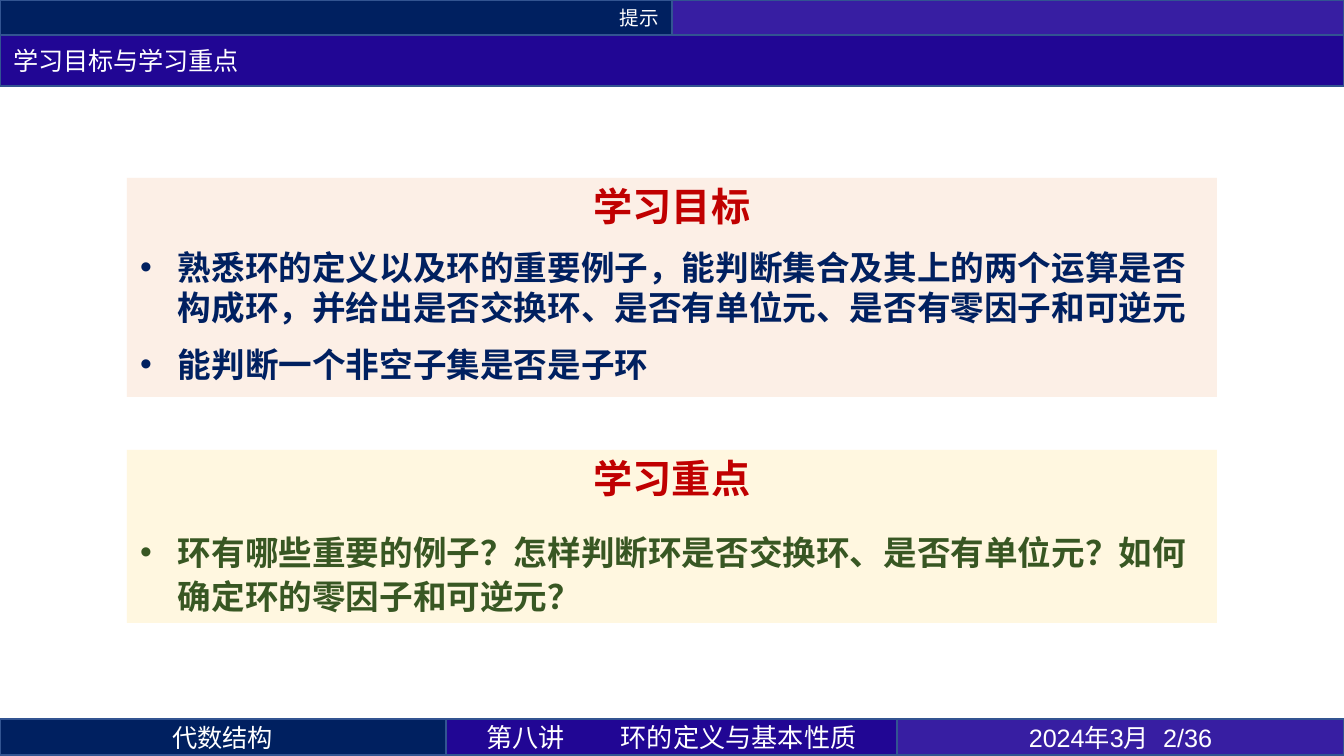
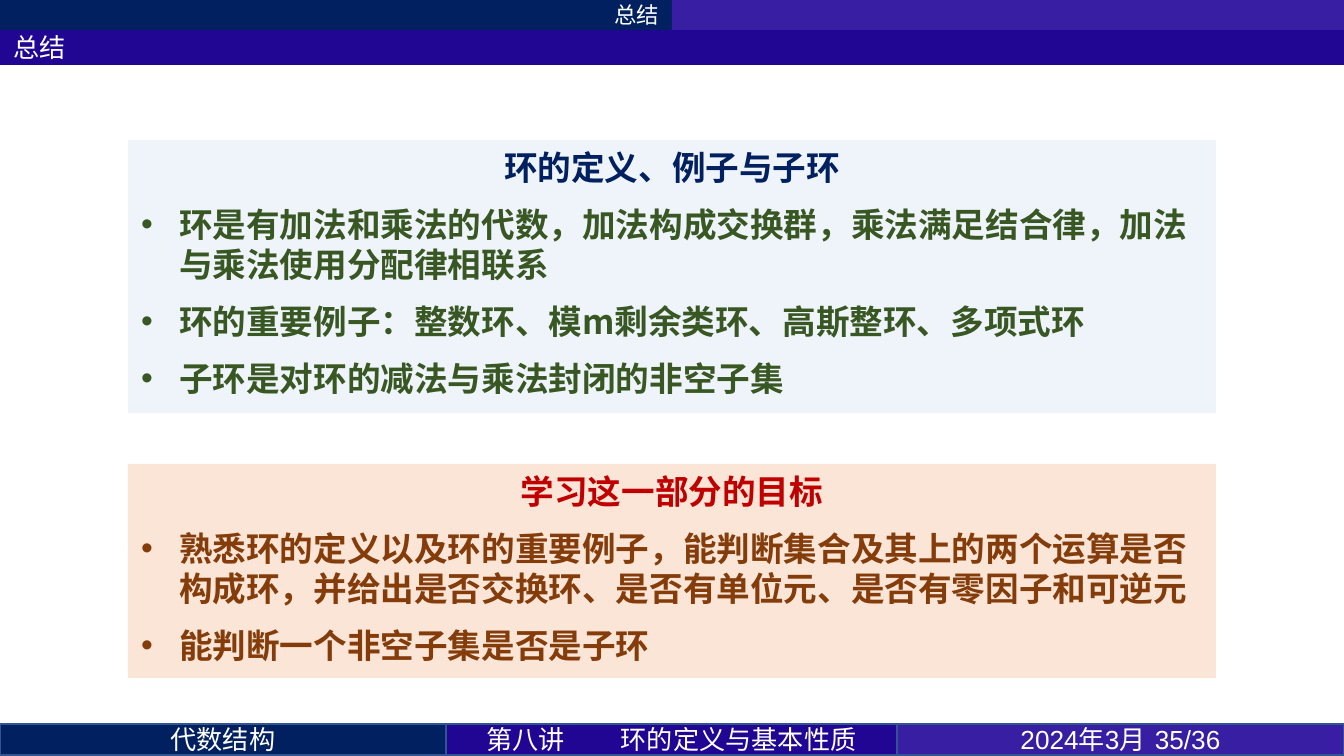
from lxml.etree import SubElement
from pptx import Presentation
from pptx.dml.color import RGBColor
from pptx.enum.shapes import MSO_SHAPE
from pptx.enum.text import MSO_ANCHOR, MSO_AUTO_SIZE, PP_ALIGN
from pptx.oxml.ns import qn
from pptx.util import Emu, Pt

WIDTH, HEIGHT = 1344, 756
NAVY, INDIGO, VIOLET = "002060", "210694", "371EA2"
EDGE, WHITE, RED, GREEN, BROWN = "325491", "FFFFFF", "C00000", "385723", "843C0B"
CJK = "Noto Sans CJK SC"
PAD, HANG = 13, 38
GOALS = [
    "熟悉环的定义以及环的重要例子，能判断集合及其上的两个运算是否构成环，并给出是否交换环、是否有单位元、是否有零因子和可逆元",
    "能判断一个非空子集是否是子环",
]


def px(count):
    return Emu(round(count * 914400 / 134.4))


def color(value):
    return RGBColor.from_string(value)


def put(frame, text, size=14, font=CJK, ink=WHITE, bold=False, align=PP_ALIGN.LEFT,
        before=0, after=0, lead=None, bullet=False, tab=None):
    para = frame.paragraphs[0]
    if para.runs:
        para = frame.add_paragraph()
    props = para._p.get_or_add_pPr()
    props.set("marL", str(px(HANG) if bullet else 0))
    props.set("indent", str(-px(HANG) if bullet else 0))
    if bullet:
        SubElement(props, qn("a:buFont"), typeface="Arial")
        SubElement(props, qn("a:buChar"), char="•")
    else:
        SubElement(props, qn("a:buNone"))
    if tab:
        stops = SubElement(props, qn("a:tabLst"))
        SubElement(stops, qn("a:tab"), pos=str(px(tab)), algn="l")
    para.alignment = align
    para.space_before, para.space_after = Pt(before), Pt(after)
    para.line_spacing = Pt(lead) if lead else 1.0
    run = para.add_run()
    run.text = text
    run.font.size, run.font.name, run.font.bold = Pt(size), font, bold
    run.font.color.rgb = color(ink)
    SubElement(run._r.get_or_add_rPr(), qn("a:ea"), typeface=CJK)


def paint(shape, box, fill, edge=None, alpha=None, anchor=MSO_ANCHOR.MIDDLE, inset=0):
    shape.left, shape.top, shape.width, shape.height = map(px, box)
    shape.fill.solid()
    shape.fill.fore_color.rgb = color(fill)
    if alpha:
        tone = shape._element.spPr.find(".//" + qn("a:srgbClr"))
        SubElement(tone, qn("a:alpha"), val=str(alpha * 1000))
    if edge:
        shape.line.color.rgb = color(edge)
        shape.line.width = Pt(1)
    else:
        shape.line.fill.background()
    frame = shape.text_frame
    frame.word_wrap = True
    frame.auto_size = MSO_AUTO_SIZE.NONE
    frame.vertical_anchor = anchor
    frame.margin_left = frame.margin_right = px(PAD)
    frame.margin_top = frame.margin_bottom = px(inset)
    return frame


def band(slide, box, fill, edge=None):
    shape = slide.shapes.add_shape(MSO_SHAPE.RECTANGLE, *map(px, box))
    shape.shadow.inherit = False
    return paint(shape, box, fill, edge)


def header(slide, topic, title, heights, sizes, edge=None):
    half, (top, deep) = WIDTH // 2, heights
    frame = band(slide, (0, 0, half, top), NAVY, edge)
    put(frame, topic, size=sizes[0], align=PP_ALIGN.RIGHT)
    band(slide, (half, 0, half, top), VIOLET, edge)
    frame = paint(slide.shapes.title, (0, top, WIDTH, deep), INDIGO, edge)
    put(frame, title, size=sizes[1], font="Calibri")


def footer(slide, page, top, size, tab):
    cells = [
        (446, NAVY, "代数结构", size, CJK, None),
        (451, INDIGO, "第八讲\t环的定义与基本性质", 14, CJK, 91),
        (447, VIOLET, f"2024年3月\t{page}/36", size, "Arial", tab),
    ]
    left = 0
    for width, fill, text, points, font, stop in cells:
        frame = band(slide, (left, top, width, HEIGHT - 1 - top), fill, EDGE)
        put(frame, text, size=points, font=font, align=PP_ALIGN.CENTER, tab=stop)
        left += width


def panel(holder, box, fill, head, items, ink, title=RED, alpha=None, size=18,
          leads=(21.5, 21.5), before=4.5, fonts=("Calibri", CJK)):
    frame = paint(holder, box, fill, alpha=alpha, anchor=MSO_ANCHOR.TOP, inset=7)
    put(frame, head, size=size, font=fonts[0], ink=title, bold=True,
        align=PP_ALIGN.CENTER, after=4.5, lead=leads[0])
    for item in items:
        put(frame, item, size=18, font=fonts[1], ink=ink, bold=True,
            before=before, after=4.5, lead=leads[1], bullet=True)


def aims(slide):
    header(slide, "提示", "学习目标与学习重点", (35, 51), (10.5, 13.5), EDGE)
    upper, lower = list(slide.placeholders)[1:]
    fonts = ("Noto Sans CJK SC", "Arial")
    panel(upper, (127, 178, 1090, 219), "FBE5D6", "学习目标", GOALS, NAVY,
          alpha=60, size=21, leads=(24, 21.5), fonts=fonts)
    panel(lower, (127, 450, 1090, 173), "FFF2CC", "学习重点",
          ["环有哪些重要的例子？怎样判断环是否交换环、是否有单位元？如何确定环的零因子和可逆元？"],
          GREEN, alpha=60, size=21, leads=(24, 24), before=9, fonts=fonts)
    footer(slide, 2, 719, 13.5, 202)


def recap(slide):
    header(slide, "总结", "总结", (30, 35), (12, 14))
    upper, lower = list(slide.placeholders)[1:]
    panel(upper, (128, 140, 1088, 273), "DEEBF7", "环的定义、例子与子环", [
        "环是有加法和乘法的代数，加法构成交换群，乘法满足结合律，加法与乘法使用分配律相联系",
        "环的重要例子：整数环、模m剩余类环、高斯整环、多项式环",
        "子环是对环的减法与乘法封闭的非空子集",
    ], GREEN, title=NAVY, alpha=50)
    panel(lower, (128, 464, 1088, 214), "FBE5D6", "学习这一部分的目标", GOALS, BROWN)
    footer(slide, 35, 724, 14, 174)


def main():
    deck = Presentation()
    deck.slide_width, deck.slide_height = px(WIDTH), px(HEIGHT)
    for build in (aims, recap):
        build(deck.slides.add_slide(deck.slide_layouts[3]))
    deck.save("out.pptx")


if __name__ == "__main__":
    main()
